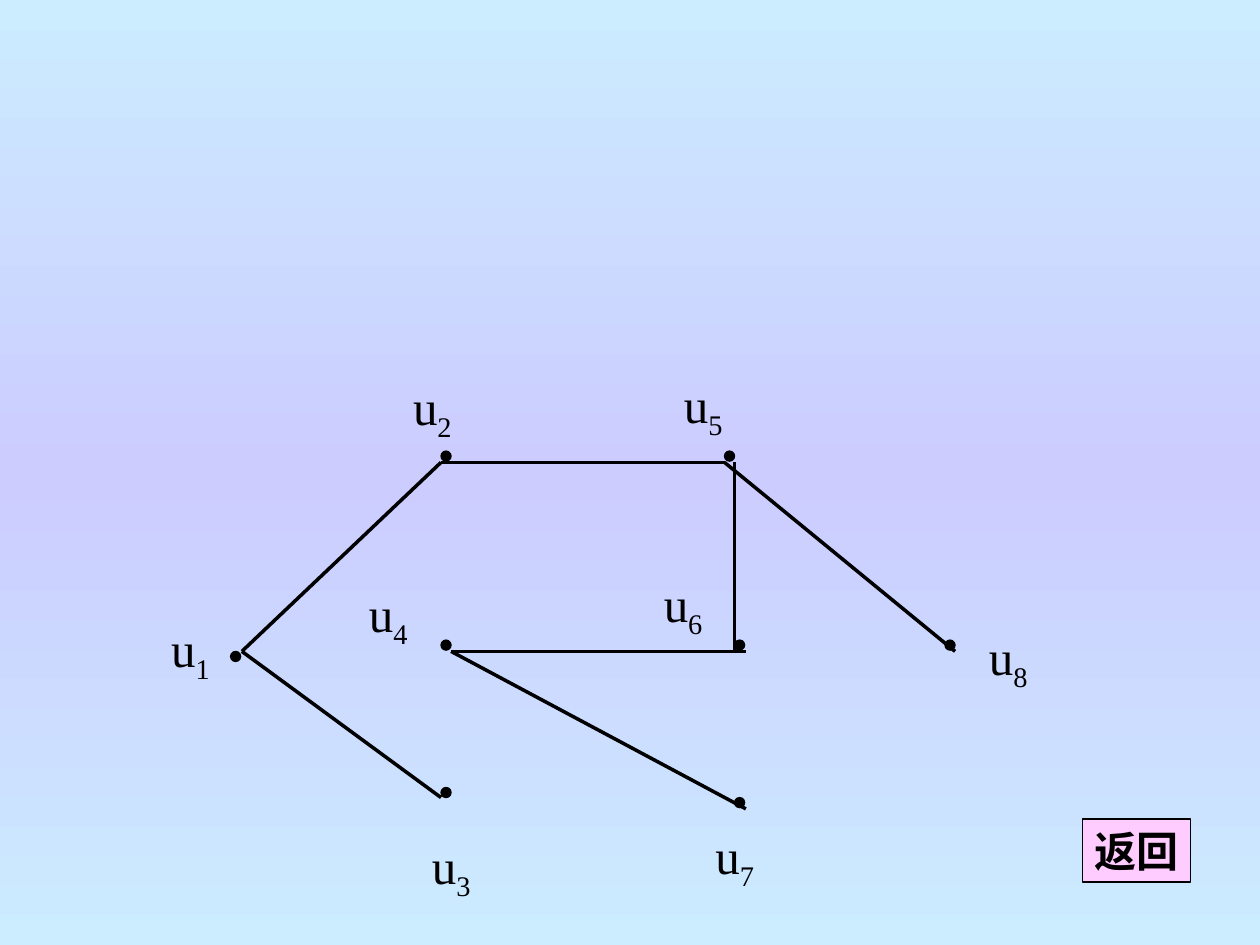
"""Build a slide with a labelled tree on vertices u1 to u8 and a return button."""
from copy import deepcopy

from pptx import Presentation
from pptx.dml.color import RGBColor
from pptx.enum.shapes import MSO_CONNECTOR, MSO_SHAPE
from pptx.enum.text import MSO_ANCHOR, MSO_AUTO_SIZE, PP_ALIGN
from pptx.oxml.ns import qn
from pptx.util import Inches, Pt
from lxml import etree

STRAIGHT = MSO_CONNECTOR.STRAIGHT
OVAL, RECTANGLE = MSO_SHAPE.OVAL, MSO_SHAPE.RECTANGLE
TOP, LEFT = MSO_ANCHOR.TOP, PP_ALIGN.LEFT
FIT_SHAPE = MSO_AUTO_SIZE.SHAPE_TO_FIT_TEXT

BLACK, PINK = "000000", "FFCCFF"
BACKGROUND = [(0, "CCECFF"), (0.5, "CCCCFF"), (1, "CCECFF")]
FONT = "Times New Roman"
DOT = 0.08

# vertex number: (dot left, dot top, label left, label top, label width)
VERTICES = {
    1: (1.83, 5.17, 1.26, 4.86, 0.5),
    2: (3.5, 3.58, 3.18, 2.94, 0.5),
    3: (3.5, 6.25, 3.33, 6.58, 0.83),
    4: (3.5, 5.08, 2.83, 4.58, 0.67),
    5: (5.75, 3.58, 5.33, 2.92, 0.92),
    6: (5.83, 5.08, 5.17, 4.5, 0.83),
    7: (5.83, 6.33, 5.58, 6.5, 0.92),
    8: (7.5, 5.08, 7.75, 4.92, 0.75),
}
EDGES = [
    (3.5, 3.67, 1.92, 5.17),
    (1.92, 5.17, 3.5, 6.33),
    (3.58, 5.17, 5.92, 5.17),
    (3.5, 3.67, 5.75, 3.67),
    (5.83, 3.67, 5.83, 5.17),
    (3.58, 5.17, 5.92, 6.42),
    (5.75, 3.67, 7.58, 5.17),
]


def rgb(color):
    """Turn a hex string into a colour."""
    return RGBColor.from_string(color)


def set_background(s, stops):
    """Fill the slide from top to bottom with a gradient."""
    fill = s.background.fill
    fill.gradient()
    fill.gradient_angle = 270
    stop_list = next(s.background._cSld.iter(qn("a:gsLst")))
    stop_list.append(deepcopy(stop_list[-1]))
    for stop, (position, color) in zip(fill.gradient_stops, stops):
        stop.position = position
        stop.color.rgb = rgb(color)


def add_text(sp, text, size=28, bold=False, subscript=""):
    """Write text, with an optional subscript, into a shape."""
    tf = sp.text_frame
    tf.word_wrap = True
    tf.auto_size = FIT_SHAPE
    tf.vertical_anchor = TOP
    tf.margin_right = 0
    p = tf.paragraphs[0]
    p.alignment = LEFT
    for part, baseline in ((text, 0), (subscript, -25000)):
        if not part:
            continue
        r = p.add_run()
        r.text = part
        r.font.name = FONT
        r.font.size = Pt(size)
        r.font.bold = bold
        r.font.color.rgb = rgb(BLACK)
        if baseline:
            r._r.get_or_add_rPr().set("baseline", str(baseline))


def add_figure(s, kind, left, top, width, height, fill):
    """Add a filled preset shape with a thin black outline."""
    sp = s.shapes.add_shape(kind, *map(Inches, (left, top, width, height)))
    sp.shadow.inherit = False
    sp.fill.solid()
    sp.fill.fore_color.rgb = rgb(fill)
    sp.line.color.rgb = rgb(BLACK)
    sp.line.width = Pt(0.75)
    return sp


def add_label(s, number, left, top, width):
    """Add the name of a vertex."""
    sp = s.shapes.add_textbox(*map(Inches, (left, top, width, 0.63)))
    add_text(sp, "u", subscript=str(number))


def add_edge(s, x1, y1, x2, y2):
    """Draw a straight edge between two points."""
    line = s.shapes.add_connector(STRAIGHT, *map(Inches, (x1, y1, x2, y2)))
    line.line.color.rgb = rgb(BLACK)
    line.line.width = Pt(2)
    etree.SubElement(line._element.spPr, qn("a:effectLst"))


def main():
    """Build and save the slide."""
    prs = Presentation()
    prs.slide_width, prs.slide_height = Inches(10), Inches(7.5)
    s = prs.slides.add_slide(prs.slide_layouts[6])
    set_background(s, BACKGROUND)
    for x, y, *_ in VERTICES.values():
        add_figure(s, OVAL, x, y, DOT, DOT, BLACK)
    for number, (_, _, left, top, width) in VERTICES.items():
        add_label(s, number, left, top, width)
    for edge in EDGES:
        add_edge(s, *edge)
    button = add_figure(s, RECTANGLE, 8.59, 6.5, 0.86, 0.5, PINK)
    add_text(button, "返回", size=24, bold=True)
    prs.save("out.pptx")


if __name__ == "__main__":
    main()
